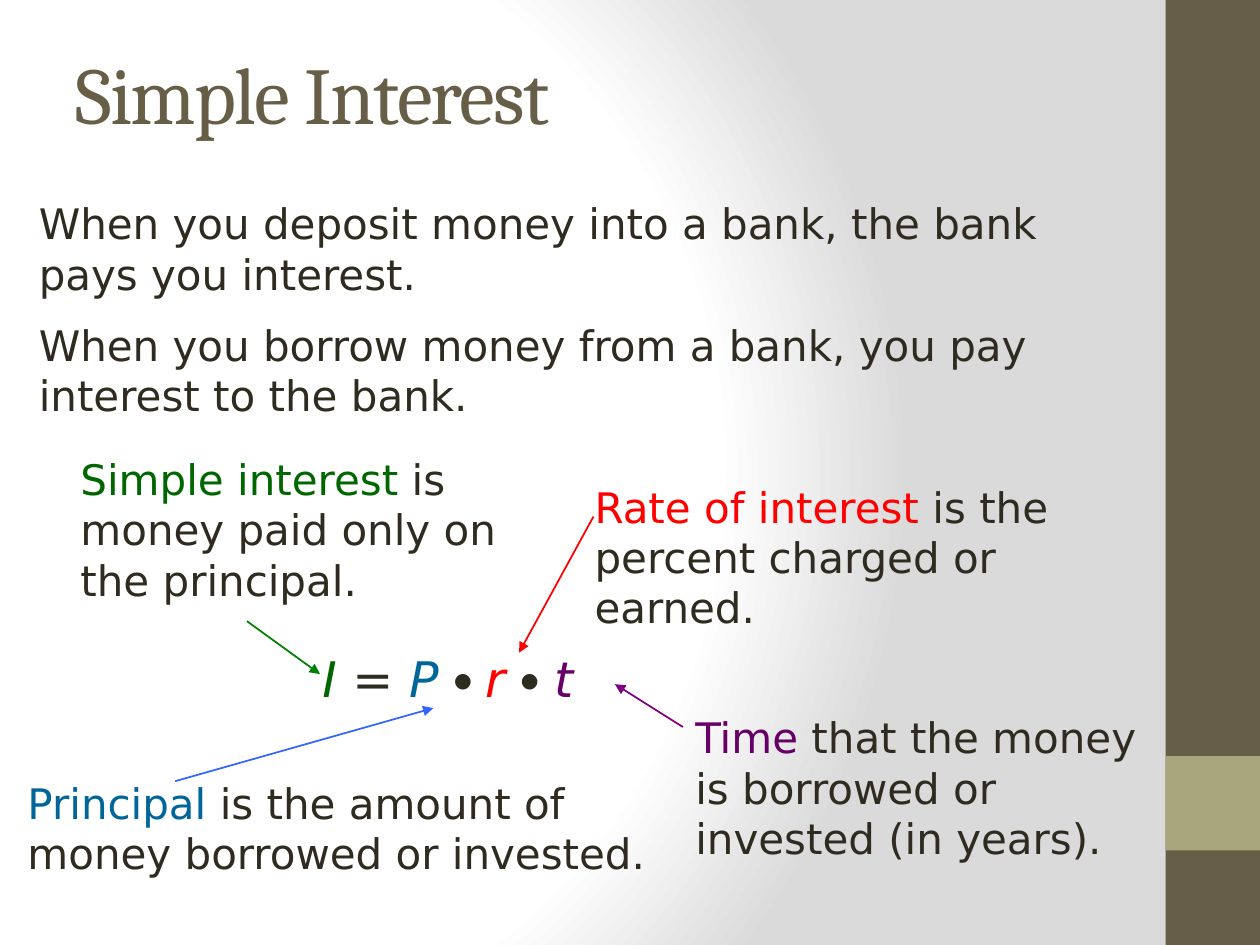
from pptx import Presentation
from pptx.dml.color import RGBColor
from pptx.enum.shapes import MSO_CONNECTOR, MSO_SHAPE
from pptx.enum.text import MSO_ANCHOR, MSO_AUTO_SIZE, PP_ALIGN
from pptx.oxml import parse_xml
from pptx.oxml.ns import qn
from pptx.util import Inches, Pt

COLUMNS, ROWS = 100, 75
WIDTH, HEIGHT = Inches(10), Inches(7.5)
INK, BROWN, KHAKI = "2F2B20", "675E47", "A9A57C"
GREEN, BLUE, RED, PURPLE = "006600", "006699", "FF0000", "660066"
DRAWING = "http://schemas.openxmlformats.org/drawingml/2006/main"


def colour(value):
    return RGBColor.from_string(value)


def across(columns):
    return round(WIDTH * columns / COLUMNS)


def down(rows):
    return round(HEIGHT * rows / ROWS)


def frame(area):
    left, top, width, height = area
    return across(left), down(top), across(width), down(height)


def style(span, size, value, font="DejaVu Sans", italic=False):
    span.font.name = font
    span.font.size = Pt(size)
    span.font.italic = italic
    span.font.color.rgb = colour(value)


def add_text_box(page, area):
    box = page.shapes.add_textbox(*frame(area))
    box.text_frame.word_wrap = True
    return box


def add_background(page):
    page.background.fill.gradient()
    old = page.background._cSld.find(".//" + qn("a:gradFill"))
    stops = "".join(
        f'<a:gs pos="{share * 1000}"><a:srgbClr val="{value}"/></a:gs>'
        for share, value in ((0, "FFFFFF"), (75, "FFFFFF"), (100, "DADADA"))
    )
    gradient = parse_xml(
        f'<a:gradFill xmlns:a="{DRAWING}" rotWithShape="1"><a:gsLst>{stops}</a:gsLst>'
        '<a:path path="circle"><a:fillToRect l="20000" t="50000" r="100000" b="50000"/>'
        "</a:path></a:gradFill>"
    )
    old.getparent().replace(old, gradient)


def add_sidebar(page, area):
    left, top, width, height = area
    accent = (left, top + height * 0.8, width, height * 0.1)
    for part, value in ((area, BROWN), (accent, KHAKI)):
        bar = page.shapes.add_shape(MSO_SHAPE.RECTANGLE, *frame(part))
        bar.shadow.inherit = False
        bar.fill.solid()
        bar.fill.fore_color.rgb = colour(value)
        bar.line.fill.background()


def add_title(page, area, text):
    title = page.shapes.title
    title.left, title.top, title.width, title.height = frame(area)
    words = title.text_frame
    words.text = text
    words.auto_size = MSO_AUTO_SIZE.NONE
    words.vertical_anchor = MSO_ANCHOR.TOP
    para = words.paragraphs[0]
    para.alignment = PP_ALIGN.LEFT
    style(para.runs[0], 46, BROWN, "Cambria")
    para.runs[0]._r.get_or_add_rPr().set("spc", "-100")


def add_intro(page, area, lines):
    box = add_text_box(page, area)
    box.text_frame.text = "\n".join(lines)
    for index, para in enumerate(box.text_frame.paragraphs):
        para.space_before = Pt(12 if index else 0)
        style(para.runs[0], 24, INK)


def add_formula(page, area, symbols):
    box = add_text_box(page, area)
    box.text_frame.margin_left = Inches(2.1)
    para = box.text_frame.paragraphs[0]
    for text, size, value in symbols:
        span = para.add_run()
        span.text = text
        style(span, size, value, italic=value != INK)
        if text == "●":
            span._r.get_or_add_rPr().set("baseline", "30000")


def add_arrow(page, start, end, value):
    arrow = page.shapes.add_connector(
        MSO_CONNECTOR.STRAIGHT,
        across(start[0]), down(start[1]), across(end[0]), down(end[1]),
    )
    arrow.line.color.rgb = colour(value)
    arrow.line.width = Pt(1)
    head = arrow.line._get_or_add_ln().makeelement(qn("a:tailEnd"), {"type": "triangle"})
    arrow.line._get_or_add_ln().append(head)
    properties = arrow._element.spPr
    properties.append(properties.makeelement(qn("a:effectLst"), {}))


def add_definition(page, area, term, meaning, value, start, end, arrow_value):
    box = add_text_box(page, area)
    para = box.text_frame.paragraphs[0]
    for text, ink in ((term, value), (meaning, INK)):
        span = para.add_run()
        span.text = text
        style(span, 24, ink)
    add_arrow(page, start, end, arrow_value)


def main():
    deck = Presentation()
    deck.slide_width, deck.slide_height = WIDTH, HEIGHT
    page = deck.slides.add_slide(deck.slide_layouts[5])
    add_background(page)
    add_sidebar(page, (92.5, 0, 7.5, ROWS))
    add_title(page, (5, 3, 83.3, 12.5), "Simple Interest")
    add_intro(page, (2.1, 15.2, 88.3, 19), (
        "When you deposit money into a bank, the bank pays you interest.",
        "When you borrow money from a bank, you pay interest to the bank.",
    ))
    add_formula(page, (4.6, 51, 53.3, 5.7), (
        ("I ", 28, GREEN), ("= ", 28, INK), ("P ", 28, BLUE),
        ("●", 20, INK), (" ", 24, INK), ("r ", 28, RED),
        ("●", 20, INK), (" ", 28, INK), ("t", 28, PURPLE),
    ))
    definitions = (
        ((5.4, 35.5, 35.8, 13), "Simple interest", " is money paid only on the principal.",
         GREEN, (19.6, 49.3), (25.4, 53.5), "008000"),
        ((1.2, 61.2, 51.7, 9), "Principal", " is the amount of money borrowed or invested.",
         BLUE, (13.9, 62), (34.4, 56.2), "3366FF"),
        ((46.2, 37.7, 38.5, 13), "Rate of interest", " is the percent charged or earned.",
         RED, (47.1, 41), (41.2, 51.8), RED),
        ((54.2, 56, 38.8, 13), "Time", " that the money is borrowed or invested (in years).",
         PURPLE, (54.2, 57.7), (48.8, 54.3), "800080"),
    )
    for definition in definitions:
        add_definition(page, *definition)
    deck.save("out.pptx")


if __name__ == "__main__":
    main()
